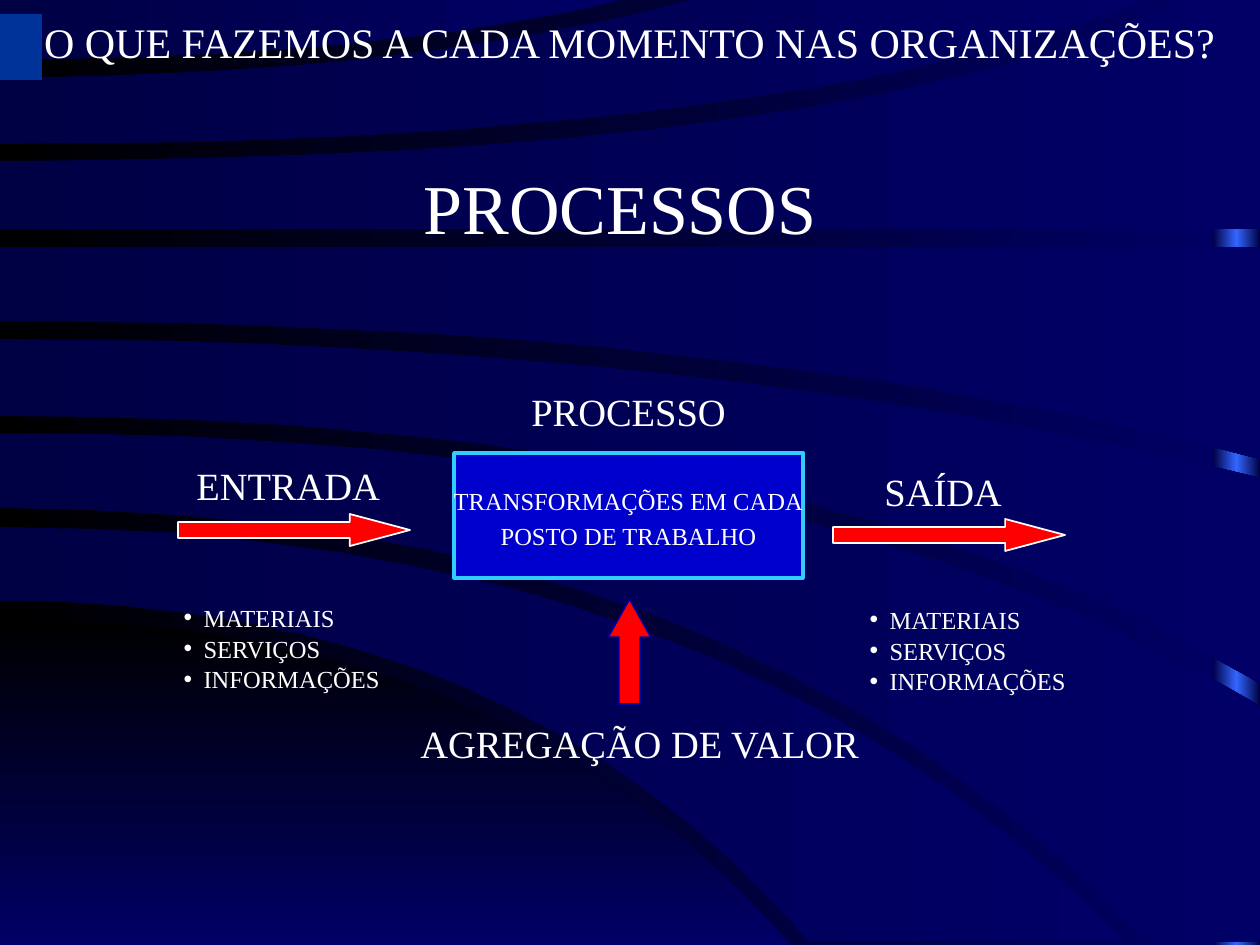
from copy import deepcopy
from dataclasses import dataclass

from pptx import Presentation
from pptx.dml.color import RGBColor
from pptx.dml.fill import FillFormat
from pptx.enum.shapes import MSO_SHAPE
from pptx.enum.text import MSO_ANCHOR, MSO_AUTO_SIZE, PP_ALIGN
from pptx.oxml.ns import qn
from pptx.shapes.autoshape import Shape
from pptx.slide import Slide
from pptx.util import Pt

SCALE = 914400 / 126
WIDTH, HEIGHT = 1260, 945
TOP, BOTTOM = -3, 942
CURVE_STEPS = 16
FONT = "Times New Roman"
TWO_CONTENT_LAYOUT = 3
RECTANGLE = MSO_SHAPE.RECTANGLE
RIGHT_ARROW = MSO_SHAPE.RIGHT_ARROW
UP_ARROW = MSO_SHAPE.UP_ARROW
LEFT, CENTER = PP_ALIGN.LEFT, PP_ALIGN.CENTER
ANCHOR_TOP, ANCHOR_MIDDLE = MSO_ANCHOR.TOP, MSO_ANCHOR.MIDDLE
NO_AUTOFIT = MSO_AUTO_SIZE.NONE

BLACK = RGBColor(0x00, 0x00, 0x00)
WHITE = RGBColor(0xFF, 0xFF, 0xFF)
NIGHT = RGBColor(0x00, 0x00, 0x44)
NAVY = RGBColor(0x00, 0x00, 0x66)
BRIGHT_BLUE = RGBColor(0x33, 0x66, 0xFF)
BOX_BLUE = RGBColor(0x00, 0x00, 0xCC)
CYAN = RGBColor(0x33, 0xCC, 0xFF)
RED = RGBColor(0xFF, 0x00, 0x00)
ARROW_EDGE = RGBColor(0x00, 0x00, 0x99)
MARKER_BLUE = RGBColor(0x00, 0x33, 0x99)

Point = tuple[int, int]
Box = tuple[int, int, int, int]


@dataclass
class Edge:
    start_y: int
    bend_x: int
    end_x: int
    end_y: int

    def points(self) -> list[Point]:
        ratios = [step / CURVE_STEPS for step in range(CURVE_STEPS + 1)]
        return [(round(2 * t * (1 - t) * self.bend_x + t * t * self.end_x),
                 round(self.start_y + t * t * (self.end_y - self.start_y))) for t in ratios]


@dataclass
class Band:
    upper: Edge
    lower: Edge
    start: RGBColor = NIGHT
    angle: int = 0

    def outline(self) -> list[Point]:
        shorter = min(self.upper, self.lower, key=lambda edge: edge.end_x)
        corner = (max(self.upper.end_x, self.lower.end_x), shorter.end_y)
        return [*self.upper.points(), corner, *reversed(self.lower.points())]


@dataclass
class Arrow:
    kind: MSO_SHAPE
    box: Box
    head: float
    edge: RGBColor


@dataclass
class Label:
    text: str
    box: Box
    size: int = 22
    alignment: PP_ALIGN = LEFT
    wrap: bool = False


def flat_edge(y: int, end_x: int = WIDTH) -> Edge:
    return Edge(y, end_x // 2, end_x, y)


BANDS = [
    Band(Edge(619, 509, 791, HEIGHT), flat_edge(HEIGHT, 791), BLACK, 270),
    Band(Edge(527, 724, 1125, BOTTOM), Edge(601, 519, 809, BOTTOM)),
    Band(Edge(433, 808, WIDTH, 706), Edge(508, 742, 1145, BOTTOM)),
    Band(Edge(339, 704, WIDTH, 478), Edge(416, 807, WIDTH, 683)),
    Band(flat_edge(247), Edge(321, 739, WIDTH, 459)),
    Band(Edge(161, 859, 1188, TOP), flat_edge(229)),
    Band(Edge(77, 411, 701, TOP), Edge(144, 783, 1155, TOP)),
    Band(flat_edge(TOP, 631), Edge(59, 383, 631, TOP)),
]
ARROWS = [
    Arrow(RIGHT_ARROW, (178, 514, 232, 32), 1.88, WHITE),
    Arrow(RIGHT_ARROW, (833, 519, 232, 32), 1.87, WHITE),
    Arrow(UP_ARROW, (608, 599, 43, 105), 0.89, ARROW_EDGE),
]
LABELS = [
    Label("ENTRADA", (184, 456, 212, 59)),
    Label("SAÍDA", (872, 462, 145, 59)),
    Label("AGREGAÇÃO DE VALOR", (408, 714, 469, 59)),
    Label("PROCESSO", (519, 382, 222, 59)),
    Label("PROCESSOS", (334, 158, 572, 97), 40, CENTER, True),
]
TITLE = Label("O QUE FAZEMOS A CADA MOMENTO NAS ORGANIZAÇÕES?", (19, 10, 1221, 64), 24, CENTER, True)
STEP = Label("TRANSFORMAÇÕES EM CADA\nPOSTO DE TRABALHO", (454, 453, 349, 125), 14, CENTER)
FLOW_ITEMS = "MATERIAIS\nSERVIÇOS\nINFORMAÇÕES"
LISTS = [
    Label(FLOW_ITEMS, (171, 595, 223, 102), 14),
    Label(FLOW_ITEMS, (857, 597, 223, 102), 14),
]


def emu(pixels: int) -> int:
    return round(pixels * SCALE)


def set_gradient(fill: FillFormat, start: RGBColor, end: RGBColor, angle: int = 0) -> None:
    fill.gradient()
    fill.gradient_angle = angle
    for stop, color in zip(fill.gradient_stops, (start, end)):
        stop.color.rgb = color


def add_shape(slide: Slide, kind: MSO_SHAPE, box: Box, color: RGBColor) -> Shape:
    shape = slide.shapes.add_shape(kind, *map(emu, box))
    shape.shadow.inherit = False
    shape.line.fill.background()
    shape.fill.solid()
    shape.fill.fore_color.rgb = color
    return shape


def set_outline(shape: Shape, color: RGBColor, points: int) -> None:
    shape.line.color.rgb = color
    shape.line.width = Pt(points)


def add_edge_stripe(slide: Slide) -> None:
    stripe = add_shape(slide, RECTANGLE, (1213, 0, 47, HEIGHT), NIGHT)
    set_gradient(stripe.fill, NIGHT, BRIGHT_BLUE)
    stop_list = stripe.element.find(".//" + qn("a:gsLst"))
    stop_list.append(deepcopy(stop_list[0]))
    for stop, position in zip(stripe.fill.gradient_stops, (0, 0.5, 1)):
        stop.position = position


def add_band(slide: Slide, band: Band) -> None:
    first, *others = band.outline()
    builder = slide.shapes.build_freeform(*first, scale=SCALE)
    builder.add_line_segments(others, close=True)
    shape = builder.convert_to_shape()
    shape.shadow.inherit = False
    shape.line.fill.background()
    set_gradient(shape.fill, band.start, NAVY, band.angle)


def add_arrow(slide: Slide, arrow: Arrow) -> None:
    shape = add_shape(slide, arrow.kind, arrow.box, RED)
    shape.adjustments[1] = arrow.head
    set_outline(shape, arrow.edge, 1)


def write_text(shape: Shape, label: Label, spacing: float = 1, anchor: MSO_ANCHOR = ANCHOR_TOP) -> None:
    shape.left, shape.top, shape.width, shape.height = map(emu, label.box)
    frame = shape.text_frame
    frame.text = label.text
    frame.word_wrap = label.wrap
    frame.auto_size = NO_AUTOFIT
    frame.vertical_anchor = anchor
    for paragraph in frame.paragraphs:
        paragraph.alignment = label.alignment
        paragraph.line_spacing = spacing
        paragraph.space_before = Pt(0)
        paragraph.font.name = FONT
        paragraph.font.size = Pt(label.size)
        paragraph.font.color.rgb = WHITE


def write_list(shape: Shape, label: Label) -> None:
    write_text(shape, label, 1.05)
    for paragraph in shape.text_frame.paragraphs:
        properties = paragraph._p.get_or_add_pPr()
        properties.set("marL", str(emu(20)))
        properties.set("indent", str(emu(-20)))


def main() -> None:
    presentation = Presentation()
    presentation.slide_width, presentation.slide_height = emu(WIDTH), emu(HEIGHT)
    slide = presentation.slides.add_slide(presentation.slide_layouts[TWO_CONTENT_LAYOUT])
    placeholders = list(slide.placeholders)
    set_gradient(slide.background.fill, BLACK, NAVY)
    add_edge_stripe(slide)
    for band in BANDS:
        add_band(slide, band)
    step = add_shape(slide, RECTANGLE, STEP.box, BOX_BLUE)
    set_outline(step, CYAN, 2)
    write_text(step, STEP, 1.2, ANCHOR_MIDDLE)
    for arrow in ARROWS:
        add_arrow(slide, arrow)
    for label in LABELS:
        write_text(slide.shapes.add_textbox(*map(emu, label.box)), label)
    add_shape(slide, RECTANGLE, (0, 14, 42, 66), MARKER_BLUE)
    title, *bodies = placeholders
    write_text(title, TITLE)
    for body, label in zip(bodies, LISTS):
        write_list(body, label)
    for placeholder in placeholders:
        placeholder.element.getparent().append(placeholder.element)
    presentation.save("out.pptx")


if __name__ == "__main__":
    main()
